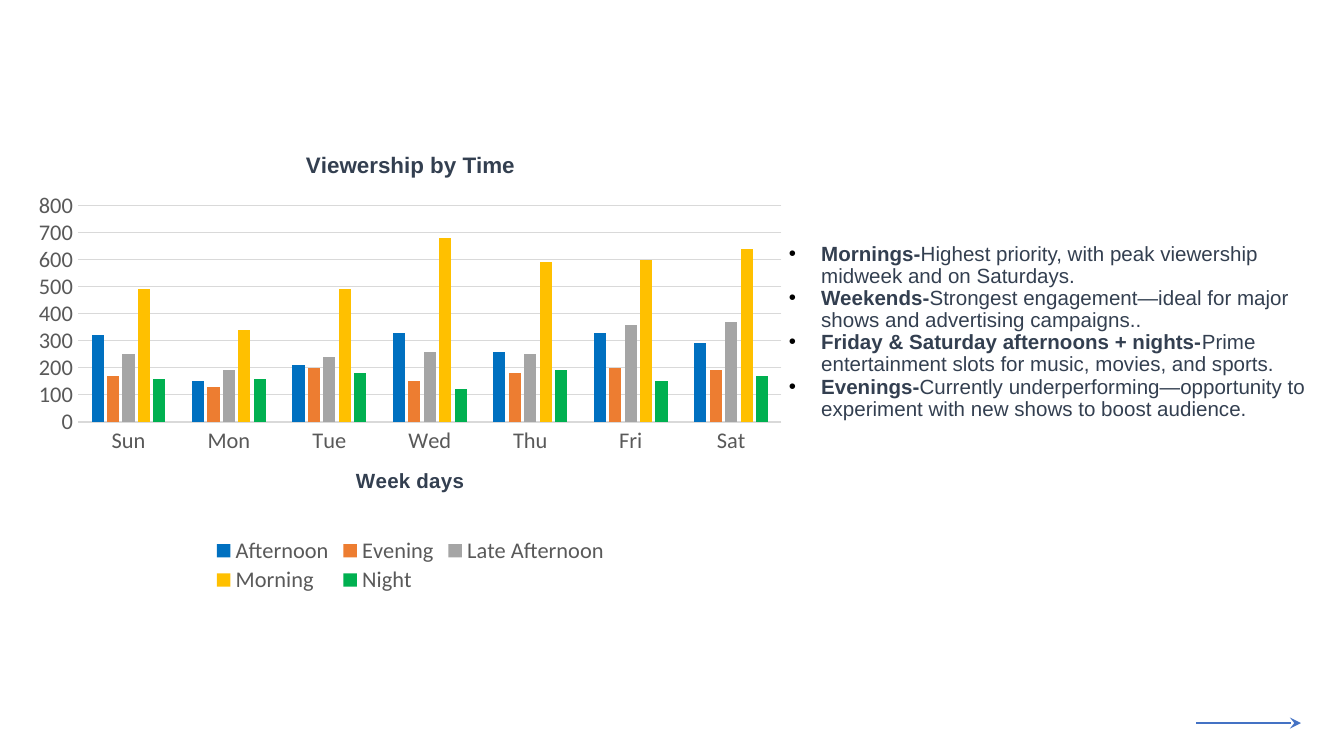
import dataclasses

import pptx
import pptx.chart.data
import pptx.dml.color
import pptx.enum.chart
import pptx.enum.shapes
import pptx.enum.text
import pptx.oxml
import pptx.oxml.ns
import pptx.util

Inches = pptx.util.Inches
Pt = pptx.util.Pt


@dataclasses.dataclass(frozen=True)
class Theme:
    heading: str = "333F50"
    label: str = "595959"
    grid: str = "D9D9D9"
    arrow: str = "4472C4"
    bullet: str = "000000"
    text_font: str = "Arial"
    chart_font: str = "Calibri"
    body_size: int = 11
    axis_title_size: int = 11
    chart_title_size: int = 12
    label_size: int = 12
    chart_size: int = 10


THEME = Theme()

DAYS = ["Sun", "Mon", "Tue", "Wed", "Thu", "Fri", "Sat"]
VIEWERS = {
    "Afternoon": ("0070C0", [320, 150, 210, 330, 260, 330, 290]),
    "Evening": ("ED7D31", [170, 130, 200, 150, 180, 200, 190]),
    "Late Afternoon": ("A5A5A5", [250, 190, 240, 260, 250, 360, 370]),
    "Morning": ("FFC000", [490, 340, 490, 680, 590, 600, 640]),
    "Night": ("00B050", [160, 160, 180, 120, 190, 150, 170]),
}
FINDINGS = [
    ("Mornings-", "Highest priority, with peak viewership midweek and on Saturdays."),
    ("Weekends-", "Strongest engagement—ideal for major shows and advertising campaigns.."),
    ("Friday & Saturday afternoons + nights-",
     "Prime entertainment slots for music, movies, and sports."),
    ("Evenings-",
     "Currently underperforming—opportunity to experiment with new shows to boost audience."),
]


def rgb(value):
    return pptx.dml.color.RGBColor.from_string(value)


def apply(target, values):
    for name, value in values.items():
        setattr(target, name, value)


def style_font(font, size, color, name, bold=False):
    apply(font, {"size": Pt(size), "name": name, "bold": bold})
    font.color.rgb = rgb(color)


def style_line(line, color, width):
    line.color.rgb = rgb(color)
    line.width = Pt(width)


def xml(tag, content=""):
    """Parse an element whose a: and c: prefixes are declared."""
    namespaces = pptx.oxml.ns.nsdecls("a", "c")
    name = tag.split()[0]
    return pptx.oxml.parse_xml(f"<{tag} {namespaces}>{content}</{name}>")


def manual_layout(x, y, width, height, inner=False):
    """Chart part position as fractions of the chart area."""
    fields = {"layoutTarget": "inner"} if inner else {}
    fields |= {"xMode": "edge", "yMode": "edge", "x": x, "y": y, "w": width, "h": height}
    content = "".join(f'<c:{key} val="{value}"/>' for key, value in fields.items())
    return xml("c:layout", f"<c:manualLayout>{content}</c:manualLayout>")


def set_title(owner, text, size):
    """Title a chart or an axis."""
    frame = owner.text_frame
    frame.text = text
    style_font(frame.paragraphs[0].runs[0].font, size, THEME.heading, THEME.text_font, True)


def style_axes(chart):
    days, viewers = chart.category_axis, chart.value_axis
    none = pptx.enum.chart.XL_TICK_MARK.NONE
    for axis in (days, viewers):
        apply(axis, {"major_tick_mark": none, "minor_tick_mark": none})
        style_font(axis.tick_labels.font, THEME.label_size, THEME.label, THEME.chart_font)
    set_title(days.axis_title, "Week days", THEME.axis_title_size)
    style_line(days.format.line, THEME.grid, 0.75)
    apply(viewers, {"minimum_scale": 0, "maximum_scale": 800, "major_unit": 100,
                    "has_major_gridlines": True})
    viewers.format.line.fill.background()
    style_line(viewers.major_gridlines.format.line, THEME.grid, 0.75)


def add_viewership_chart(slide):
    data = pptx.chart.data.CategoryChartData()
    data.categories = DAYS
    for period, (_, counts) in VIEWERS.items():
        data.add_series(period, counts)
    chart = slide.shapes.add_chart(
        pptx.enum.chart.XL_CHART_TYPE.COLUMN_CLUSTERED,
        Inches(0.18), Inches(0.97), Inches(5.75), Inches(3.5), data).chart
    style_font(chart.font, THEME.chart_size, THEME.bullet, THEME.chart_font)
    apply(chart, {"has_title": True, "has_legend": True})
    set_title(chart.chart_title, "Viewership by Time", THEME.chart_title_size)
    chart.chart_title.include_in_layout = False
    style_axes(chart)

    columns = chart.plots[0]
    apply(columns, {"gap_width": 219, "overlap": -27, "vary_by_categories": False})
    for series, (color, _) in zip(columns.series, VIEWERS.values()):
        series.format.fill.solid()
        series.format.fill.fore_color.rgb = rgb(color)
        series.invert_if_negative = False

    legend = chart.legend
    apply(legend, {"position": pptx.enum.chart.XL_LEGEND_POSITION.BOTTOM,
                   "include_in_layout": False})
    style_font(legend.font, THEME.label_size, THEME.label, THEME.chart_font)
    position = legend._element.find(pptx.oxml.ns.qn("c:legendPos"))
    position.addnext(manual_layout(0.24, 0.86, 0.52, 0.13))
    plot_area = chart._chartSpace.chart.plotArea
    for layout in plot_area.findall(pptx.oxml.ns.qn("c:layout")):
        plot_area.remove(layout)
    plot_area.insert(0, manual_layout(0.07, 0.16, 0.91, 0.46, inner=True))


def fill_findings(body):
    apply(body, {"left": Inches(5.75), "top": Inches(1.71),
                 "width": Inches(4.14), "height": Inches(2.38)})
    frame = body.text_frame
    margins = ("margin_left", "margin_top", "margin_right", "margin_bottom")
    apply(frame, dict.fromkeys(margins, Inches(0.1)))
    apply(frame, {"word_wrap": True, "auto_size": pptx.enum.text.MSO_AUTO_SIZE.NONE,
                  "vertical_anchor": pptx.enum.text.MSO_ANCHOR.TOP})
    for index, (topic, advice) in enumerate(FINDINGS):
        paragraph = frame.add_paragraph() if index else frame.paragraphs[0]
        properties = paragraph._p.get_or_add_pPr()
        properties.set("marL", str(Inches(0.26)))
        properties.set("indent", str(Inches(-0.24)))
        properties.append(xml("a:buClr", f'<a:srgbClr val="{THEME.bullet}"/>'))
        properties.append(xml(f'a:buFont typeface="{THEME.text_font}"'))
        properties.append(xml('a:buChar char="•"'))
        apply(paragraph, {"line_spacing": 0.9, "space_before": Pt(0), "space_after": Pt(0),
                          "alignment": pptx.enum.text.PP_ALIGN.LEFT})
        for text, bold in ((topic, True), (advice, False)):
            run = paragraph.add_run()
            run.text = text
            style_font(run.font, THEME.body_size, THEME.heading, THEME.text_font, bold)


def add_arrow(slide):
    arrow = slide.shapes.add_connector(
        pptx.enum.shapes.MSO_CONNECTOR.STRAIGHT,
        Inches(8.9), Inches(5.38), Inches(9.68), Inches(5.38))
    style_line(arrow.line, THEME.arrow, 1.5)
    arrow.line._get_or_add_ln().append(xml('a:tailEnd type="stealth"'))
    arrow._element.spPr.append(xml("a:effectLst"))


def main():
    presentation = pptx.Presentation()
    slide_width = Inches(10)
    apply(presentation, {"slide_width": slide_width, "slide_height": slide_width * 9 // 16})
    slide = presentation.slides.add_slide(presentation.slide_layouts[1])
    empty_title = slide.shapes.title._element
    empty_title.getparent().remove(empty_title)
    add_arrow(slide)
    add_viewership_chart(slide)
    fill_findings(slide.placeholders[1])
    presentation.save("out.pptx")


if __name__ == "__main__":
    main()
